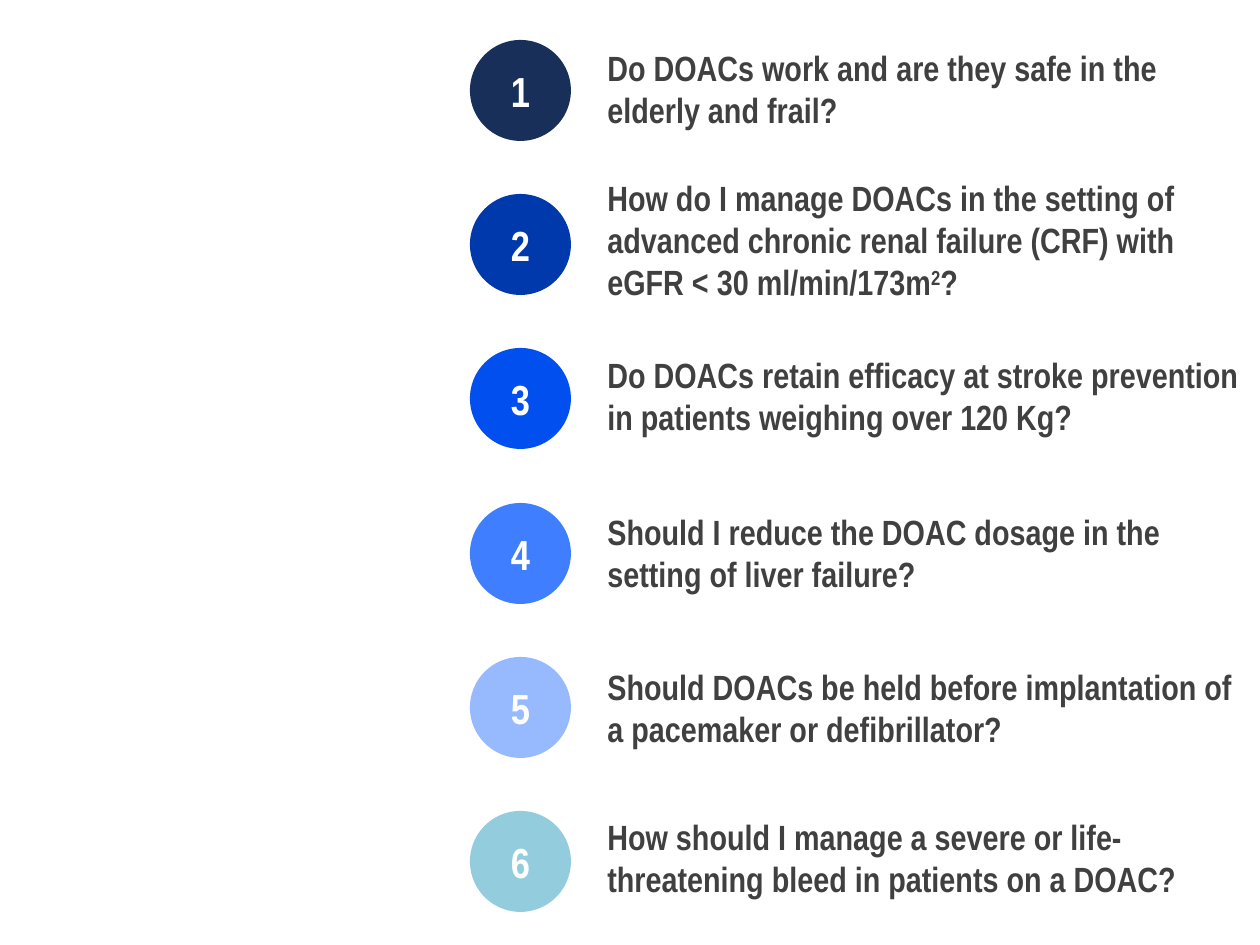
from lxml.etree import SubElement
from pptx import Presentation
from pptx.dml.color import RGBColor
from pptx.enum.shapes import MSO_SHAPE
from pptx.enum.text import MSO_ANCHOR, MSO_AUTO_SIZE, PP_ALIGN
from pptx.oxml.ns import qn
from pptx.util import Pt

PX = 914400 // 126
FONT = "Arial Narrow"
CIRCLE_SIZE = 101
TEXT_OFFSET = 125
FIRST_TOP, LAST_TOP = 40, 811

# circle colour, text top, text height, text runs (every second run is superscript)
QUESTIONS = [
    ("183059", 40, 97, ["Do DOACs work and are they safe in the elderly and frail?"]),
    ("0039AC", 169, 140, ["How do I manage DOACs in the setting of advanced chronic "
                          "renal failure (CRF) with eGFR < 30 ml/min/173m", "2", "?"]),
    ("004FEE", 347, 97, ["Do DOACs retain efficacy at stroke prevention "
                         "in patients weighing over 120 Kg?"]),
    ("3F7FFF", 494, 107, ["Should I reduce the DOAC dosage in the setting of liver failure?"]),
    ("97BAFF", 649, 107, ["Should DOACs be held before implantation of "
                          "a pacemaker or defibrillator?"]),
    ("93CDDD", 809, 97, ["How should I manage a severe or life-threatening bleed "
                         "in patients on a DOAC?"]),
]


def color(hex_string):
    return RGBColor.from_string(hex_string)


def box(left, top, width, height):
    return [length * PX for length in (left, top, width, height)]


def format_run(run, size, hex_string):
    run.font.name = FONT
    run.font.size = Pt(size)
    run.font.bold = True
    run.font.color.rgb = color(hex_string)


def add_filled_shape(slide, kind, bounds, hex_string):
    shape = slide.shapes.add_shape(kind, *box(*bounds))
    shape.shadow.inherit = False
    shape.fill.solid()
    shape.fill.fore_color.rgb = color(hex_string)
    shape.line.fill.background()
    return shape


def add_panel(slide, bounds):
    """Place the translucent white panel behind the questions."""
    panel = add_filled_shape(slide, MSO_SHAPE.RECTANGLE, bounds, "FFFFFF")
    fill_color = next(panel._element.spPr.iter(qn("a:srgbClr")))
    SubElement(fill_color, qn("a:alpha")).set("val", "83000")


def add_number(slide, left, top, number, hex_string):
    circle = add_filled_shape(slide, MSO_SHAPE.OVAL,
                              (left, top, CIRCLE_SIZE, CIRCLE_SIZE), hex_string)
    frame = circle.text_frame
    frame.text = str(number)
    frame.vertical_anchor = MSO_ANCHOR.MIDDLE
    paragraph = frame.paragraphs[0]
    paragraph.alignment = PP_ALIGN.CENTER
    format_run(paragraph.runs[0], 24, "FFFFFF")


def add_question(slide, bounds, parts):
    frame = slide.shapes.add_textbox(*box(*bounds)).text_frame
    frame.word_wrap = True
    frame.auto_size = MSO_AUTO_SIZE.SHAPE_TO_FIT_TEXT
    frame.vertical_anchor = MSO_ANCHOR.BOTTOM
    for index, part in enumerate(parts):
        run = frame.paragraphs[0].add_run()
        run.text = part
        format_run(run, 20, "404040")
        if index % 2:
            run.font._element.set("baseline", "30000")


def add_question_list(slide, left, width):
    pitch = (LAST_TOP - FIRST_TOP) / (len(QUESTIONS) - 1)
    for index, (fill, text_top, text_height, parts) in enumerate(QUESTIONS):
        add_number(slide, left, round(FIRST_TOP + index * pitch), index + 1, fill)
        add_question(slide, (left + TEXT_OFFSET, text_top, width - TEXT_OFFSET, text_height),
                     parts)


def main():
    presentation = Presentation()
    presentation.slide_width = 1260 * PX
    presentation.slide_height = 945 * PX
    slide = presentation.slides.add_slide(presentation.slide_layouts[6])
    add_panel(slide, (435, 0, 825, 945))
    add_question_list(slide, 470, 798)
    presentation.save("out.pptx")


if __name__ == "__main__":
    main()
